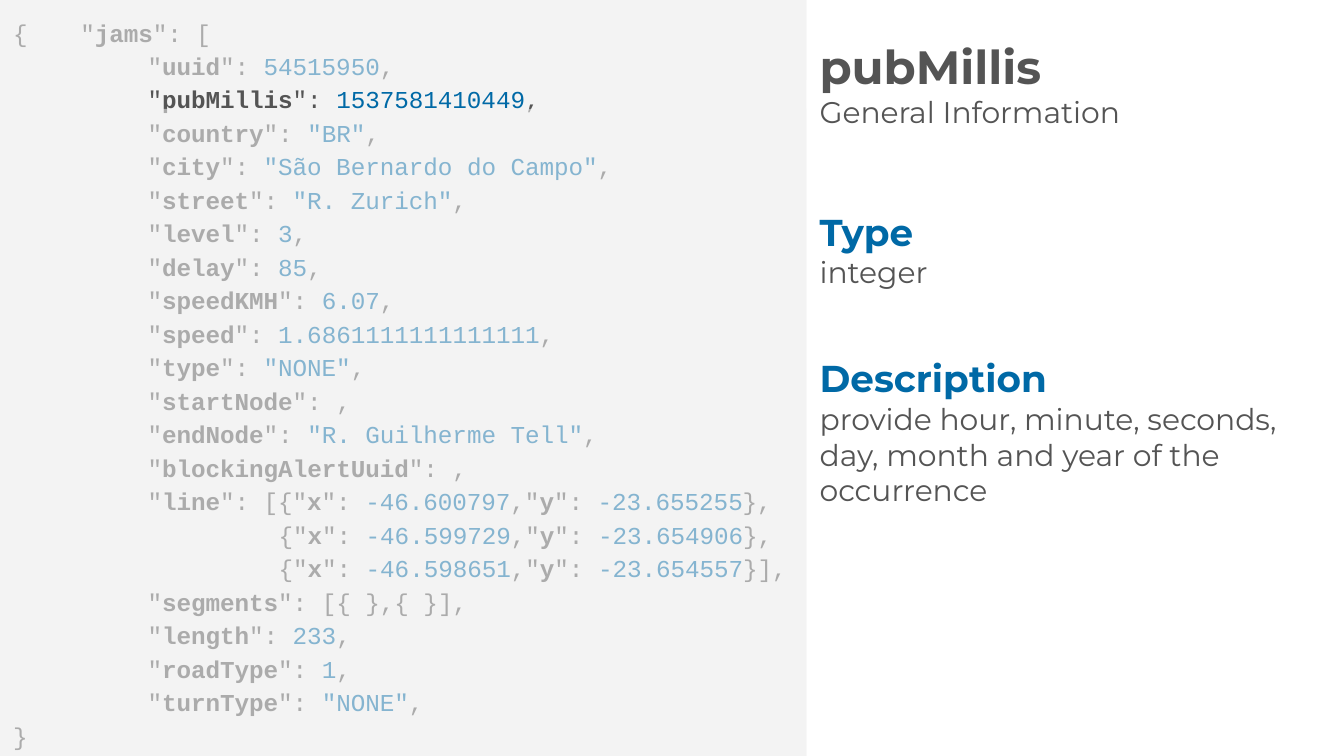
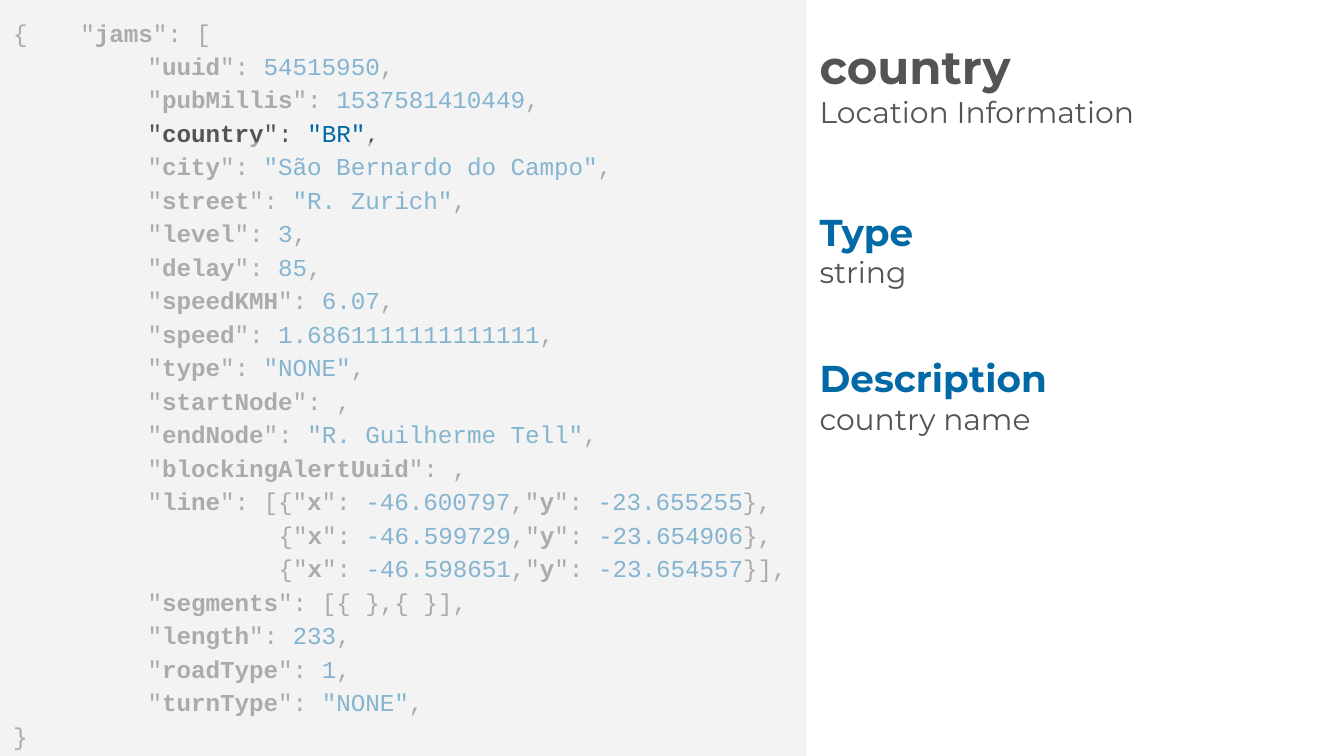
from dataclasses import dataclass

from lxml.etree import SubElement
from pptx import Presentation
from pptx.dml.color import RGBColor
from pptx.enum.shapes import MSO_SHAPE
from pptx.enum.text import MSO_ANCHOR, PP_ALIGN
from pptx.oxml.ns import qn
from pptx.shapes.autoshape import Shape
from pptx.slide import Slide
from pptx.text.text import TextFrame, _Paragraph as Paragraph
from pptx.util import Emu, Pt

# Scale: 200 px to the inch
PX = 4572
SLIDE_W, SLIDE_H = 2000, 1125
PANEL_W = 1200
INSET = 20

# Shared look
GREY = RGBColor(0x54, 0x54, 0x54)
BLUE = RGBColor(0x00, 0x69, 0xA6)
PALE = RGBColor(0xF3, 0xF3, 0xF3)
CODE_FONT, TEXT_FONT = "Courier New", "Montserrat"
CODE_PT, BODY_PT, HEADING_PT, TITLE_PT = 13, 16, 20, 25
LINE_SPACING = 1.15
KEY_INDENT, POINT_INDENT = 200, 395

# The gap between the two veils shows one code row clearly
VEIL_ALPHA = 55
FIRST_GAP_END, ROW_STEP, GAP_H = 62, 50, 43


@dataclass(frozen=True)
class Span:
    text: str
    color: RGBColor = GREY
    bold: bool = False


@dataclass(frozen=True)
class CodeRow:
    spans: tuple[Span, ...]
    indent: int = KEY_INDENT


@dataclass(frozen=True)
class Box:
    left: int
    top: int
    width: int
    height: int


@dataclass(frozen=True)
class FieldPage:
    key: str
    category: str
    type_name: str
    description: str
    row: int


def pair(key: str, value: str, opening: str = '"', closing: str = ",") -> tuple[Span, ...]:
    """Spans of a key and its value."""
    return (Span(opening), Span(key, bold=True), Span('": '),
            Span(value, BLUE), Span(closing))


def bare(key: str, ending: str, opening: str = '"') -> tuple[Span, ...]:
    """Spans of a key without a coloured value."""
    return Span(opening), Span(key, bold=True), Span('": ' + ending)


def point(x: str, y: str, closing: str) -> tuple[Span, ...]:
    """Spans of one coordinate pair."""
    return pair("x", x, '{"', ',"') + pair("y", y, "", closing)[1:]


# Content
JAM_ROWS = (
    CodeRow(bare("jams", "[", '{\t"'), 0),
    *(CodeRow(pair(key, value)) for key, value in (
        ("uuid", "54515950"),
        ("pubMillis", "1537581410449"),
        ("country", '"BR"'),
        ("city", '"São Bernardo do Campo"'),
        ("street", '"R. Zurich"'),
        ("level", "3"),
        ("delay", "85"),
        ("speedKMH", "6.07"),
        ("speed", "1.6861111111111111"),
        ("type", '"NONE"'),
    )),
    CodeRow(bare("startNode", ",")),
    CodeRow(pair("endNode", '"R. Guilherme Tell"')),
    CodeRow(bare("blockingAlertUuid", ",")),
    CodeRow(bare("line", "[") + point("-46.600797", "-23.655255", "},")),
    CodeRow(point("-46.599729", "-23.654906", "},"), POINT_INDENT),
    CodeRow(point("-46.598651", "-23.654557", "}],"), POINT_INDENT),
    CodeRow(bare("segments", "[{ },{ }],")),
    CodeRow(pair("length", "233")),
    CodeRow(pair("roadType", "1")),
    CodeRow(pair("turnType", '"NONE"')),
    CodeRow((Span("}"),), 0),
)

PAGES = (
    FieldPage("pubMillis", "General Information", "integer",
              "provide hour, minute, seconds, day, month and year of the occurrence", 2),
    FieldPage("country", "Location Information", "string", "country name", 3),
)

TITLE_BOX = Box(PANEL_W, 32, 800, 184)
TYPE_HEADING_BOX = Box(PANEL_W, 292, 386, 100)
TYPE_BOX = Box(PANEL_W, 358, 720, 174)
DESCRIPTION_HEADING_BOX = Box(PANEL_W, 508, 386, 100)
DESCRIPTION_BOX = Box(PANEL_W, 576, 738, 174)


# Drawing
def emu(box: Box) -> tuple[Emu, ...]:
    return tuple(Emu(n * PX) for n in (box.left, box.top, box.width, box.height))


def add_span(paragraph: Paragraph, span: Span, font: str, size: int) -> None:
    run = paragraph.add_run()
    run.text = span.text
    run.font.name = font
    run.font.size = Pt(size)
    run.font.bold = span.bold
    run.font.color.rgb = span.color


def prepare(frame: TextFrame, anchor: MSO_ANCHOR) -> None:
    frame.word_wrap = True
    frame.vertical_anchor = anchor
    frame.margin_left = frame.margin_right = Emu(INSET * PX)
    frame.margin_top = frame.margin_bottom = Emu(INSET * PX)


def add_panel(slide: Slide, top: int) -> Shape:
    panel = slide.shapes.add_shape(MSO_SHAPE.RECTANGLE,
                                   *emu(Box(0, top, PANEL_W, SLIDE_H)))
    panel.shadow.inherit = False
    panel.fill.solid()
    panel.fill.fore_color.rgb = PALE
    panel.line.fill.background()
    return panel


def add_code(slide: Slide) -> None:
    frame = add_panel(slide, 0).text_frame
    prepare(frame, MSO_ANCHOR.TOP)
    for index, row in enumerate(JAM_ROWS):
        paragraph = frame.add_paragraph() if index else frame.paragraphs[0]
        paragraph.alignment = PP_ALIGN.LEFT
        paragraph.line_spacing = LINE_SPACING
        properties = paragraph._p.get_or_add_pPr()
        properties.set("marL", str(row.indent * PX))
        properties.set("indent", "0")
        for span in row.spans:
            add_span(paragraph, span, CODE_FONT, CODE_PT)


def add_veil(slide: Slide, top: int) -> None:
    veil = add_panel(slide, top)
    color = veil._element.spPr.find(qn("a:solidFill")).find(qn("a:srgbClr"))
    SubElement(color, qn("a:alpha")).set("val", str(VEIL_ALPHA * 1000))


def add_text(slide: Slide, box: Box, *lines: tuple[Span, int],
             anchor: MSO_ANCHOR = MSO_ANCHOR.TOP) -> None:
    frame = slide.shapes.add_textbox(*emu(box)).text_frame
    prepare(frame, anchor)
    for index, (span, size) in enumerate(lines):
        paragraph = frame.add_paragraph() if index else frame.paragraphs[0]
        add_span(paragraph, span, TEXT_FONT, size)


def add_page(slide: Slide, page: FieldPage) -> None:
    add_code(slide)
    add_text(slide, TITLE_BOX, (Span(page.key, bold=True), TITLE_PT),
             (Span(page.category), BODY_PT), anchor=MSO_ANCHOR.MIDDLE)
    for heading, heading_box, body, body_box in (
        ("Type", TYPE_HEADING_BOX, page.type_name, TYPE_BOX),
        ("Description", DESCRIPTION_HEADING_BOX, page.description, DESCRIPTION_BOX),
    ):
        add_text(slide, heading_box, (Span(heading, BLUE, True), HEADING_PT))
        add_text(slide, body_box, (Span(body), BODY_PT))
    gap_end = FIRST_GAP_END + ROW_STEP * page.row
    add_veil(slide, gap_end)
    add_veil(slide, gap_end - GAP_H - SLIDE_H)


def main() -> None:
    deck = Presentation()
    deck.slide_width, deck.slide_height = Emu(SLIDE_W * PX), Emu(SLIDE_H * PX)
    blank = deck.slide_layouts[6]
    for page in PAGES:
        add_page(deck.slides.add_slide(blank), page)
    deck.save("out.pptx")


if __name__ == "__main__":
    main()
